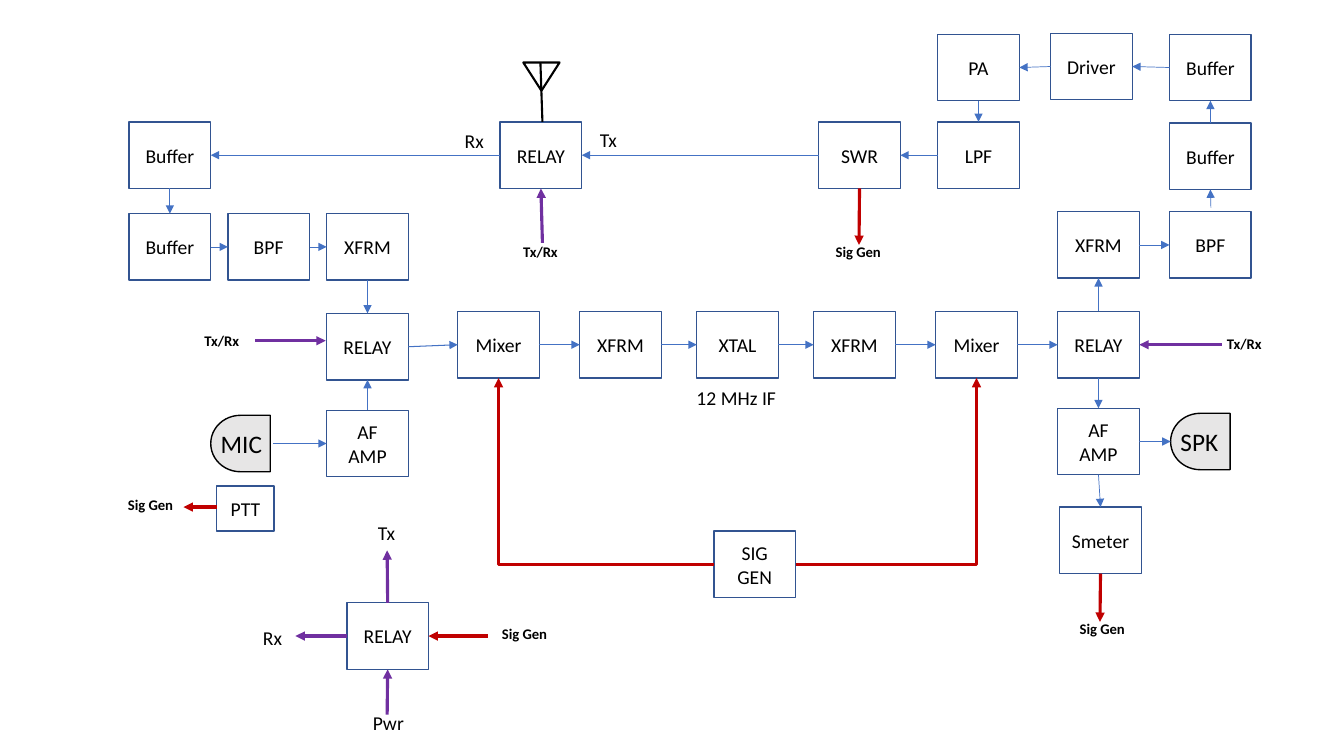
import pptx
import pptx.util
import pptx.dml.color
import pptx.enum.shapes
import pptx.enum.text
import pptx.oxml.ns
import lxml.etree
from dataclasses import dataclass

SHAPE = pptx.enum.shapes.MSO_SHAPE
CONNECTOR = pptx.enum.shapes.MSO_CONNECTOR
SIDES = {"top": 0, "left": 1, "bottom": 2, "right": 3}


@dataclass(frozen=True)
class Theme:
    font: str = "Calibri"
    ink: str = "000000"
    paper: str = "FFFFFF"
    outline: str = "325491"
    transducer: str = "E7E6E6"
    signal: tuple = ("4472C4", 0.5)
    mixing: tuple = ("4472C4", 0.75)
    control: tuple = ("C00000", 2.25)
    switching: tuple = ("7030A0", 2.25)
    antenna_line: float = 1.5
    shape_line: float = 1
    body_size: float = 14
    tag_size: float = 10.5
    transducer_size: float = 18


def grid(cells):
    """One grid column or row is a tenth of an inch."""
    return pptx.util.Inches(cells / 10)


def colour(value):
    return pptx.dml.color.RGBColor.from_string(value)


class Diagram:
    def __init__(self, slide, theme):
        self.slide = slide
        self.theme = theme

    def shape(self, kind, box, fill, line, width, rotation=0, shapes=None):
        shape = (shapes or self.slide.shapes).add_shape(kind, *map(grid, box))
        shape.shadow.inherit = False
        shape.rotation = rotation
        if fill:
            shape.fill.solid()
            shape.fill.fore_color.rgb = colour(fill)
        else:
            shape.fill.background()
        shape.line.color.rgb = colour(line)
        shape.line.width = pptx.util.Pt(width)
        return shape

    def set_text(self, shape, text, size, bold=False):
        shape.text_frame.text = text
        paragraph = shape.text_frame.paragraphs[0]
        for run in paragraph.runs:
            run.font.name = self.theme.font
            run.font.size = pptx.util.Pt(size)
            run.font.bold = bold
            run.font.color.rgb = colour(self.theme.ink)
        return paragraph

    def block(self, text, column, row, width=8.1, height=6.6):
        shape = self.shape(SHAPE.RECTANGLE, (column, row, width, height),
                           self.theme.paper, self.theme.outline, self.theme.shape_line)
        paragraph = self.set_text(shape, text, self.theme.body_size)
        paragraph.alignment = pptx.enum.text.PP_ALIGN.CENTER
        shape.text_frame.vertical_anchor = pptx.enum.text.MSO_ANCHOR.MIDDLE
        return shape

    def label(self, text, box, size, bold=False, shapes=None):
        shape = (shapes or self.slide.shapes).add_textbox(*map(grid, box))
        self.set_text(shape, text, size, bold)
        shape.text_frame.word_wrap = False
        shape.text_frame.auto_size = pptx.enum.text.MSO_AUTO_SIZE.SHAPE_TO_FIT_TEXT

    def line(self, start, end, style, shapes=None, kind=CONNECTOR.STRAIGHT):
        """Each end is a grid point or a (block, side) pair."""
        points = [(0, 0) if isinstance(place[1], str) else place for place in (start, end)]
        connector = (shapes or self.slide.shapes).add_connector(
            kind, *(grid(value) for point in points for value in point))
        if isinstance(start[1], str):
            connector.begin_connect(start[0], SIDES[start[1]])
        if isinstance(end[1], str):
            connector.end_connect(end[0], SIDES[end[1]])
        connector.line.color.rgb = colour(style[0])
        connector.line.width = pptx.util.Pt(style[1])
        lxml.etree.SubElement(connector.element.spPr, pptx.oxml.ns.qn("a:effectLst"))
        return connector

    def arrow(self, start, end, style, kind=CONNECTOR.STRAIGHT):
        connector = self.line(start, end, style, kind=kind)
        outline = connector.get_or_add_ln()
        lxml.etree.SubElement(outline, pptx.oxml.ns.qn("a:tailEnd"), type="triangle")
        return connector

    def corner_arrow(self, start, end, style):
        connector = self.arrow(start, end, style, CONNECTOR.ELBOW)
        geometry = connector.element.spPr.find(pptx.oxml.ns.qn("a:prstGeom"))
        geometry.set("prst", "bentConnector2")

    def transducer(self, text, column, row):
        shapes = self.slide.shapes.add_group_shape().shapes
        self.shape(SHAPE.FLOWCHART_DELAY, (column, row, 5.9, 5.6), self.theme.transducer,
                   self.theme.ink, self.theme.shape_line, 180, shapes)
        self.label(text, (column, row + 0.8, 6.2, 4), self.theme.transducer_size, shapes=shapes)

    def antenna(self, column, row):
        shapes = self.slide.shapes.add_group_shape().shapes
        style = (self.theme.ink, self.theme.antenna_line)
        self.line((column + 1.7, row), (column + 1.9, row + 5.9), style, shapes)
        self.shape(SHAPE.ISOSCELES_TRIANGLE, (column, row, 3.6, 2.8), None, *style, 180, shapes)


presentation = pptx.Presentation()
presentation.slide_width = pptx.util.Inches(13.33)
presentation.slide_height = pptx.util.Inches(7.5)
theme = Theme()
diagram = Diagram(presentation.slides.add_slide(presentation.slide_layouts[6]), theme)

# Blocks: text, column, row
blocks = {name: diagram.block(*place) for name, place in {
    "rx buffer 1": ("Buffer", 12.8, 12.1), "rx buffer 2": ("Buffer", 12.8, 21.2),
    "rx filter": ("BPF", 22.6, 21.2), "rx transformer": ("XFRM", 32.4, 21.2),
    "input relay": ("RELAY", 32.4, 31.1), "mic amp": ("AF AMP", 32.4, 40.7),
    "antenna relay": ("RELAY", 49.6, 12.1), "swr": ("SWR", 81.2, 12.1),
    "low pass": ("LPF", 93, 12.1), "power amp": ("PA", 93, 3.4),
    "driver": ("Driver", 104.2, 3.3), "tx buffer 2": ("Buffer", 116, 3.4),
    "tx buffer 1": ("Buffer", 116, 12.2), "tx filter": ("BPF", 116, 21),
    "tx transformer": ("XFRM", 104.9, 21), "output relay": ("RELAY", 104.9, 30.9),
    "mixer 1": ("Mixer", 45.4, 30.9), "if transformer 1": ("XFRM", 57.5, 30.9),
    "crystal": ("XTAL", 69.1, 30.9), "if transformer 2": ("XFRM", 80.7, 30.9),
    "mixer 2": ("Mixer", 92.8, 30.9), "speaker amp": ("AF AMP", 104.9, 40.5),
    "meter": ("Smeter", 105.1, 50.3), "generator": ("SIG GEN", 70.8, 52.7),
    "power relay": ("RELAY", 34.4, 59.8), "ptt": ("PTT", 21.5, 48.2, 5.7, 4.5),
}.items()}

# Antenna, microphone and speaker
diagram.antenna(51.9, 6.2)
diagram.transducer("MIC", 20.9, 41.2)
diagram.transducer("SPK", 116.1, 41)

# Signal arrows between blocks: start, side left, end, side reached
for start, start_side, end, end_side in (
    ("antenna relay", "left", "rx buffer 1", "right"),
    ("rx buffer 1", "bottom", "rx buffer 2", "top"),
    ("rx buffer 2", "right", "rx filter", "left"),
    ("rx filter", "right", "rx transformer", "left"),
    ("rx transformer", "bottom", "input relay", "top"),
    ("mic amp", "top", "input relay", "bottom"),
    ("output relay", "top", "tx transformer", "bottom"),
    ("output relay", "bottom", "speaker amp", "top"),
    ("speaker amp", "bottom", "meter", "top"),
    ("tx transformer", "right", "tx filter", "left"),
    ("tx buffer 1", "top", "tx buffer 2", "bottom"),
    ("tx buffer 2", "left", "driver", "right"),
    ("driver", "left", "power amp", "right"),
    ("power amp", "bottom", "low pass", "top"),
    ("low pass", "left", "swr", "right"),
    ("swr", "left", "antenna relay", "right"),
):
    diagram.arrow((blocks[start], start_side), (blocks[end], end_side), theme.signal)
diagram.arrow((27.1, 44), (blocks["mic amp"], "left"), theme.signal)
diagram.arrow((blocks["speaker amp"], "right"), (116.1, 43.8), theme.signal)
diagram.arrow((120.1, 20.6), (blocks["tx buffer 1"], "bottom"), theme.signal)

# Mixing chain
chain = ["input relay", "mixer 1", "if transformer 1", "crystal",
         "if transformer 2", "mixer 2", "output relay"]
for start, end in zip(chain, chain[1:]):
    diagram.arrow((blocks[start], "right"), (blocks[end], "left"), theme.mixing)

# Generator and control arrows
for side, mixer in (("left", "mixer 1"), ("right", "mixer 2")):
    diagram.corner_arrow((blocks["generator"], side), (blocks[mixer], "bottom"), theme.control)
diagram.arrow((blocks["swr"], "bottom"), (85.2, 24.3), theme.control)
diagram.arrow((blocks["meter"], "bottom"), (109.1, 61.7), theme.control)
diagram.arrow((48.4, 63.1), (blocks["power relay"], "right"), theme.control)
diagram.arrow((21.5, 50.3), (18.2, 50.3), theme.control)

# Switching arrows
diagram.arrow((25.3, 33.8), (32.3, 33.8), theme.switching)
diagram.arrow((121.2, 34.2), (blocks["output relay"], "right"), theme.switching)
diagram.arrow((53.8, 24.1), (blocks["antenna relay"], "bottom"), theme.switching)
diagram.arrow((blocks["power relay"], "top"), (38.4, 54.6), theme.switching)
diagram.arrow((blocks["power relay"], "left"), (29.3, 63.1), theme.switching)
diagram.arrow((38.4, 70.9), (blocks["power relay"], "bottom"), theme.switching)

# Labels
for text, column, row, width in (
    ("Tx", 36.5, 51.2, 3.8), ("Rx", 25.1, 61.6, 3.9), ("Pwr", 36, 70, 5.7),
    ("Rx", 45.1, 12.3, 3.9), ("Tx", 58.5, 12.2, 3.8), ("12 MHz IF", 68.1, 37.8, 10),
):
    diagram.label(text, (column, row, width, 3.4), theme.body_size)
for text, width, places in (
    ("Tx/Rx", 5.6, ((19.3, 32.4), (50.9, 23.6), (120.7, 32.7))),
    ("Sig Gen", 6.7, ((81.9, 23.6), (106.1, 61), (48.8, 61.5), (11.7, 48.7))),
):
    for column, row in places:
        diagram.label(text, (column, row, width, 2.8), theme.tag_size, bold=True)

presentation.save("out.pptx")
